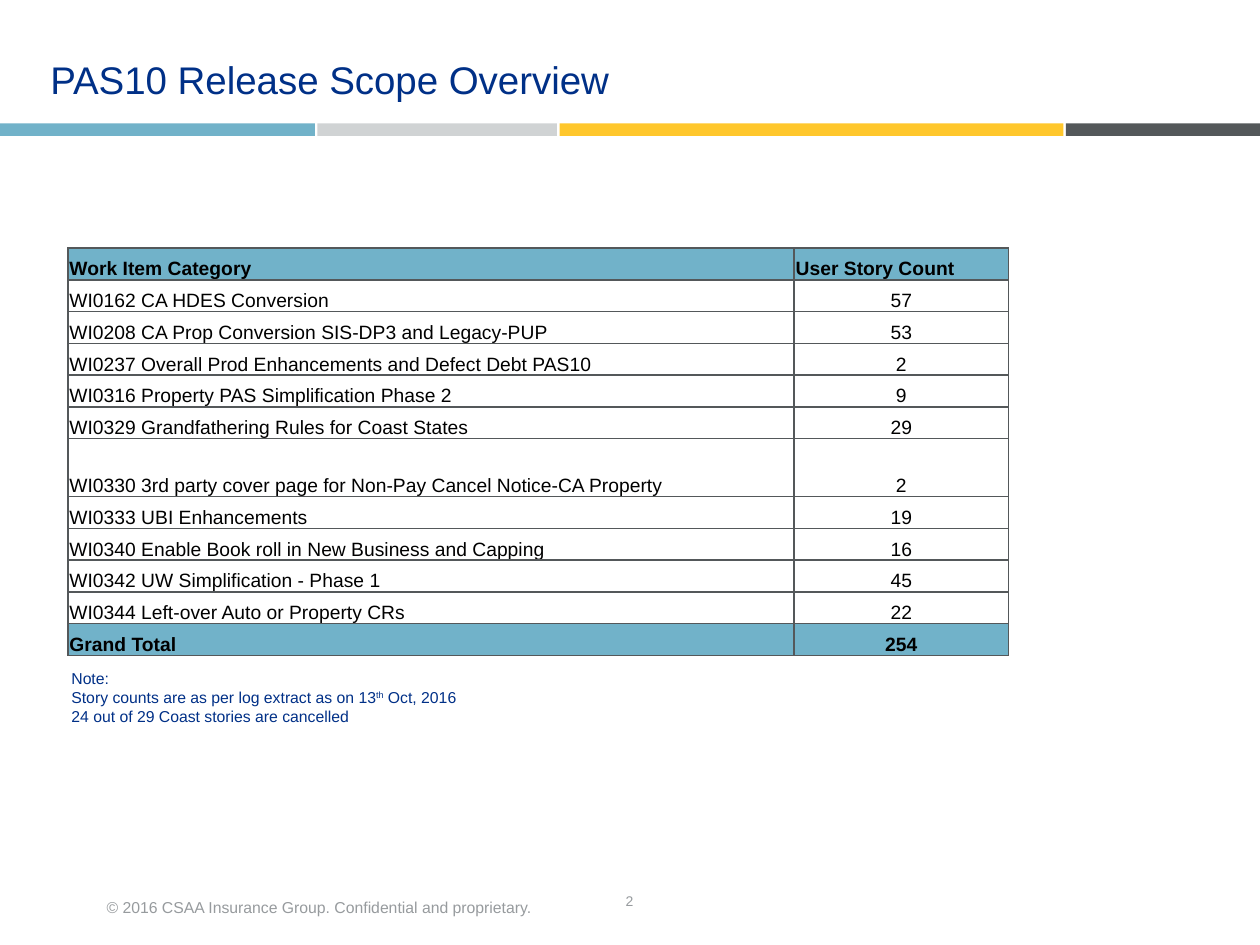
from itertools import product
from lxml import etree
from pptx import Presentation
from pptx.dml.color import RGBColor
from pptx.enum import shapes, text
from pptx.oxml import ns
from pptx.util import Cm, Pt

NAVY, GREY, BLUE, DARK = "003087", "979B9E", "71B2C9", "54585A"
TITLE = "PAS10 Release Scope Overview"
BARS = [(6.35, BLUE), (4.83, "D0D3D4"), (10.16, "FFC72C"), (3.91, DARK)]
GAP = 0.05
ROWS = [
    ("Work Item Category", "User Story Count"),
    ("WI0162 CA HDES Conversion", 57),
    ("WI0208 CA Prop Conversion SIS-DP3 and Legacy-PUP", 53),
    ("WI0237 Overall Prod Enhancements and Defect Debt PAS10", 2),
    ("WI0316 Property PAS Simplification Phase 2", 9),
    ("WI0329 Grandfathering Rules for Coast States", 29),
    ("WI0330 3rd party cover page for Non-Pay Cancel Notice-CA Property", 2),
    ("WI0333 UBI Enhancements", 19),
    ("WI0340 Enable Book roll in New Business and Capping", 16),
    ("WI0342 UW Simplification - Phase 1", 45),
    ("WI0344 Left-over Auto or Property CRs", 22),
    ("Grand Total", 254),
]
COLS = [14.64, 4.32]
ROW, TALL, TALL_ROW = 0.64, 1.17, 6
NOTES = [
    ["Note:"],
    ["Story counts are as per log extract as on 13", "th", " Oct, 2016"],
    ["24 out of 29 Coast stories are cancelled"],
]
FOOTER = "© 2016 CSAA Insurance Group. Confidential and proprietary."
PAGE = "2"
LEFT, MID = text.PP_ALIGN.LEFT, text.PP_ALIGN.CENTER


def rgb(color):
    return RGBColor.from_string(color)


def style(para, size, color, bold=False, align=LEFT):
    para.alignment = align
    for run in para.runs:
        font = run.font
        font.name, font.size, font.bold = "Arial", Pt(size), bold
        font.color.rgb = rgb(color)


def place(shape, left, top, width, height):
    shape.left, shape.top = Cm(left), Cm(top)
    shape.width, shape.height = Cm(width), Cm(height)


def label(slide, words, box, size, color, align=LEFT):
    frame = slide.shapes.add_textbox(*map(Cm, box)).text_frame
    frame.word_wrap = True
    frame.text = words
    style(frame.paragraphs[0], size, color, align=align)
    return frame


def border(cell):
    """Draw a thin dark line on all four sides of the cell."""
    props = cell._tc.get_or_add_tcPr()
    for side in ("lnL", "lnR", "lnT", "lnB"):
        line = etree.SubElement(props, ns.qn("a:" + side), w=str(Pt(1)))
        fill = etree.SubElement(line, ns.qn("a:solidFill"))
        etree.SubElement(fill, ns.qn("a:srgbClr"), val=DARK)


def add_bars(slide):
    left = 0
    for width, color in BARS:
        bar = slide.shapes.add_shape(shapes.MSO_SHAPE.RECTANGLE,
                                     Cm(left), Cm(2.49), Cm(width), Cm(0.25))
        bar.shadow.inherit = False
        bar.fill.solid()
        bar.fill.fore_color.rgb = rgb(color)
        bar.line.fill.background()
        left += width + GAP


def add_title(slide):
    title = slide.shapes.title
    place(title, 0.76, 0.94, 23.62, 2.08)
    frame = title.text_frame
    frame.text = TITLE
    frame.vertical_anchor = text.MSO_ANCHOR.TOP
    para = frame.paragraphs[0]
    para.line_spacing = 1.06
    style(para, 22, NAVY)


def add_counts(slide):
    high = ROW * (len(ROWS) - 1) + TALL
    table = slide.shapes.add_table(len(ROWS), len(COLS), Cm(1.37), Cm(5),
                                   Cm(sum(COLS)), Cm(high)).table
    table.first_row = table.horz_banding = False
    for col, width in zip(table.columns, COLS):
        col.width = Cm(width)
    for i, row in enumerate(table.rows):
        row.height = Cm(TALL if i == TALL_ROW else ROW)
    for i, j in product(range(len(ROWS)), range(len(COLS))):
        cell = table.cell(i, j)
        strong = i in (0, len(ROWS) - 1)
        cell.text = str(ROWS[i][j])
        cell.vertical_anchor = text.MSO_ANCHOR.BOTTOM
        cell.margin_left = cell.margin_right = cell.margin_top = Cm(0.03)
        cell.margin_bottom = 0
        style(cell.text_frame.paragraphs[0], 11, "000000", strong,
              MID if i and j else LEFT)
        border(cell)
        if strong:
            cell.fill.solid()
            cell.fill.fore_color.rgb = rgb(BLUE)
        else:
            cell.fill.background()


def add_notes(slide):
    box = slide.shapes.add_textbox(Cm(1.19), Cm(13.36), Cm(15.19), Cm(1.27))
    frame = box.text_frame
    frame.word_wrap = True
    for i, parts in enumerate(NOTES):
        para = frame.add_paragraph() if i else frame.paragraphs[0]
        for part in parts:
            para.add_run().text = part
        style(para, 9, NAVY)
        for run in para.runs[1:2]:
            run.font._element.set("baseline", "30000")


def main():
    deck = Presentation()
    deck.slide_width, deck.slide_height = Cm(25.4), Cm(19.05)
    slide = deck.slides.add_slide(deck.slide_layouts[5])
    page = label(slide, PAGE, (9.73, 17.78, 5.92, 0.76), 8, GREY, MID)
    page.vertical_anchor = text.MSO_ANCHOR.MIDDLE
    foot = label(slide, FOOTER, (1.9, 17.91, 10.06, 0.71), 9, GREY)
    foot.paragraphs[0].line_spacing = 1.15
    add_bars(slide)
    add_title(slide)
    add_counts(slide)
    add_notes(slide)
    deck.save("out.pptx")


if __name__ == "__main__":
    main()
